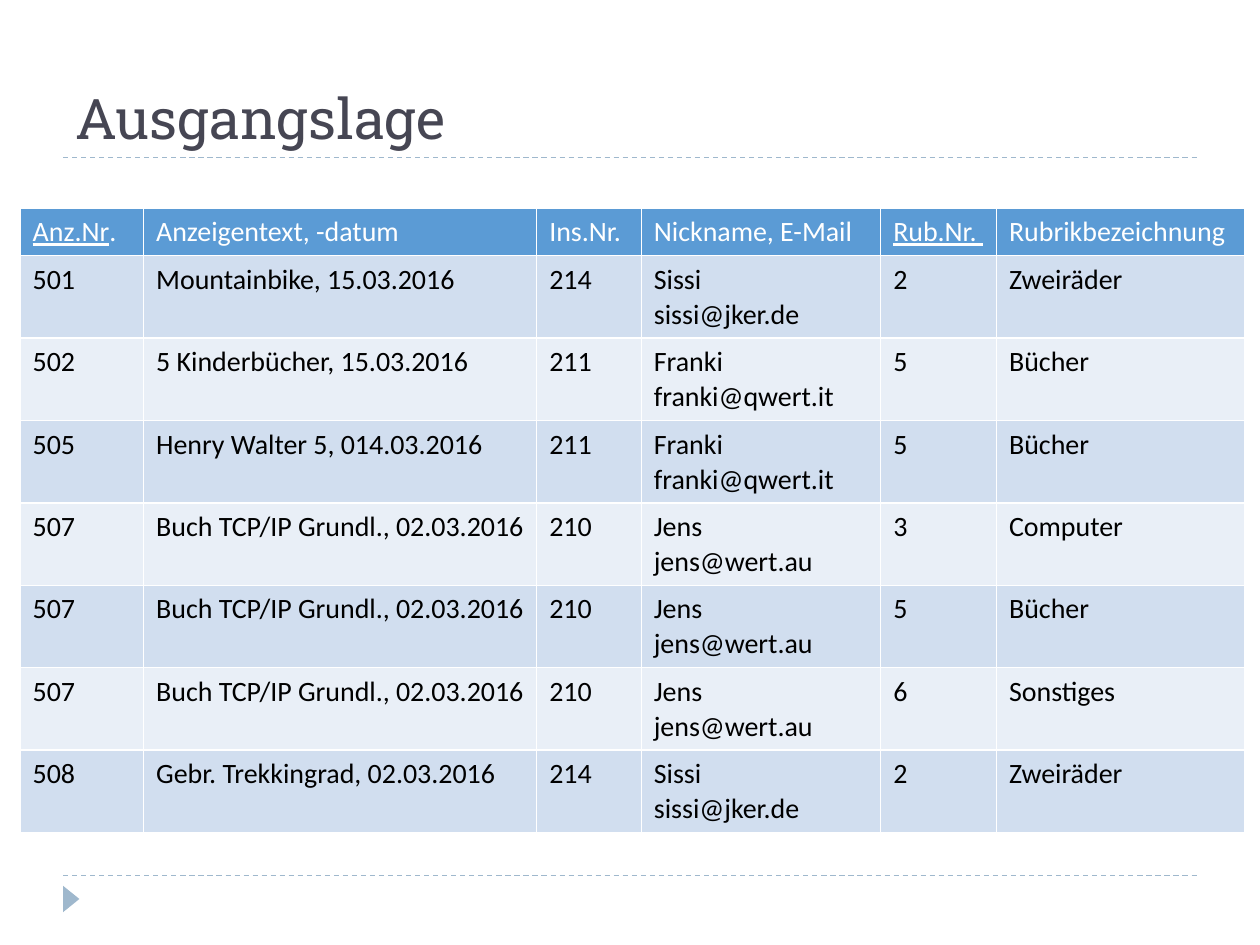
from typing import NamedTuple

from lxml import etree
from pptx import Presentation
from pptx.dml.color import RGBColor
from pptx.enum.dml import MSO_LINE
from pptx.enum.shapes import MSO_CONNECTOR, MSO_SHAPE
from pptx.enum.text import MSO_ANCHOR, MSO_AUTO_SIZE, PP_ALIGN
from pptx.oxml.ns import qn
from pptx.util import Inches, Pt

STRAIGHT = MSO_CONNECTOR.STRAIGHT
TRIANGLE = MSO_SHAPE.ISOSCELES_TRIANGLE
DASH = MSO_LINE.DASH
BOTTOM = MSO_ANCHOR.BOTTOM
NO_FIT = MSO_AUTO_SIZE.NONE
LEFT = PP_ALIGN.LEFT

COLORS = {
    "title": "464653",
    "accent": "9FB8CD",
    "header": "5B9BD5",
    "odd": "D1DEEF",
    "even": "E9EFF7",
    "white": "FFFFFF",
    "black": "000000",
}
TITLE_FONT = {"name": "Roboto Slab", "size": Pt(32)}
TABLE_FONT = {"name": "Calibri", "size": Pt(16)}

COLUMN_WIDTHS = (0.98, 3.12, 0.83, 1.9, 0.92, 1.97)
HEADER_HEIGHT, ROW_HEIGHT = 0.38, 0.65
BORDER_SIDES = ("lnL", "lnR", "lnT", "lnB")


class Heading(NamedTuple):
    """A column heading: an underlined key part, then a plain part."""
    key: str
    plain: str


class Listing(NamedTuple):
    """One row of the table of advertisements."""
    ad_no: str
    ad_text: str
    advertiser_no: str
    contact: str
    category_no: str
    category: str


HEADINGS = (
    Heading("Anz.Nr", "."),
    Heading("", "Anzeigentext, -datum"),
    Heading("", "Ins.Nr."),
    Heading("", "Nickname, E-Mail"),
    Heading("Rub.Nr. ", ""),
    Heading("", "Rubrikbezeichnung"),
)
SISSI = "Sissi\nsissi@jker.de"
FRANKI = "Franki\nfranki@qwert.it"
JENS = "Jens\njens@wert.au"
NETWORK_BOOK = "Buch TCP/IP Grundl., 02.03.2016"
LISTINGS = (
    Listing("501", "Mountainbike, 15.03.2016", "214", SISSI, "2", "Zweiräder"),
    Listing("502", "5 Kinderbücher, 15.03.2016", "211", FRANKI, "5", "Bücher"),
    Listing("505", "Henry Walter 5, 014.03.2016", "211", FRANKI, "5", "Bücher"),
    Listing("507", NETWORK_BOOK, "210", JENS, "3", "Computer"),
    Listing("507", NETWORK_BOOK, "210", JENS, "5", "Bücher"),
    Listing("507", NETWORK_BOOK, "210", JENS, "6", "Sonstiges"),
    Listing("508", "Gebr. Trekkingrad, 02.03.2016", "214", SISSI, "2", "Zweiräder"),
)


def rgb(name: str) -> RGBColor:
    """Look up a named colour."""
    return RGBColor.from_string(COLORS[name])


def add_run(p, text: str, font: dict, color: str, underline: bool = False) -> None:
    """Append a formatted run to a paragraph."""
    r = p.add_run()
    r.text = text
    for attr, value in font.items():
        setattr(r.font, attr, value)
    r.font.color.rgb = rgb(color)
    if underline:
        r.font.underline = True


def set_title(s, text: str) -> None:
    """Place and format the title placeholder."""
    sp = s.shapes.title
    box = {"left": 0.5, "top": 0.17, "width": 9, "height": 1.08}
    for attr, value in box.items():
        setattr(sp, attr, Inches(value))
    tf = sp.text_frame
    for attr, value in {"auto_size": NO_FIT, "vertical_anchor": BOTTOM}.items():
        setattr(tf, attr, value)
    p = tf.paragraphs[0]
    p.alignment = LEFT
    add_run(p, text, TITLE_FONT, "title")


def add_rule(s, y: float) -> None:
    """Draw a dashed rule across the content width."""
    rule = s.shapes.add_connector(
        STRAIGHT, Inches(0.5), Inches(y), Inches(9.5), Inches(y))
    rule.line.color.rgb = rgb("accent")
    rule.line.width = Pt(0.75)
    rule.line.dash_style = DASH
    etree.SubElement(rule._element.spPr, qn("a:effectLst"))


def add_marker(s) -> None:
    """Draw the small footer triangle pointing right."""
    sp = s.shapes.add_shape(
        TRIANGLE, Inches(0.46), Inches(7.07), Inches(0.21), Inches(0.13))
    sp.rotation = 90
    sp.shadow.inherit = False
    sp.fill.solid()
    sp.fill.fore_color.rgb = rgb("accent")
    sp.line.fill.background()


def style_cell(cell, fill: str) -> None:
    """Fill a cell and give it thin white borders."""
    cell.fill.solid()
    cell.fill.fore_color.rgb = rgb(fill)
    tc_pr = cell._tc.get_or_add_tcPr()
    for i, side in enumerate(BORDER_SIDES):
        ln = etree.Element(qn(f"a:{side}"), w=str(Pt(0.91)))
        solid = etree.SubElement(ln, qn("a:solidFill"))
        etree.SubElement(solid, qn("a:srgbClr"), val=COLORS["white"])
        tc_pr.insert(i, ln)


def write_heading(cell, heading: Heading) -> None:
    """Write a heading with its key part underlined."""
    p = cell.text_frame.paragraphs[0]
    p.line_spacing = 1.02
    if heading.key:
        add_run(p, heading.key, TABLE_FONT, "white", underline=True)
    if heading.plain:
        add_run(p, heading.plain, TABLE_FONT, "white")


def write_value(cell, value: str) -> None:
    """Write a value, one paragraph per line."""
    tf = cell.text_frame
    for i, line in enumerate(value.split("\n")):
        p = tf.add_paragraph() if i else tf.paragraphs[0]
        p.line_spacing = 1.02
        add_run(p, line, TABLE_FONT, "black")


def add_listing_table(s) -> None:
    """Build the table of advertisements."""
    height = HEADER_HEIGHT + ROW_HEIGHT * len(LISTINGS)
    table = s.shapes.add_table(
        len(LISTINGS) + 1, len(HEADINGS), Inches(0.16), Inches(1.65),
        Inches(sum(COLUMN_WIDTHS)), Inches(height)).table
    for column, width in zip(table.columns, COLUMN_WIDTHS):
        column.width = Inches(width)
    for i, row in enumerate(table.rows):
        row.height = Inches(ROW_HEIGHT if i else HEADER_HEIGHT)
    for col, heading in enumerate(HEADINGS):
        cell = table.cell(0, col)
        style_cell(cell, "header")
        write_heading(cell, heading)
    for i, listing in enumerate(LISTINGS, start=1):
        for col, value in enumerate(listing):
            cell = table.cell(i, col)
            style_cell(cell, "odd" if i % 2 else "even")
            write_value(cell, value)


def main() -> None:
    """Build and save the slide."""
    prs = Presentation()
    prs.slide_width, prs.slide_height = Inches(10), Inches(7.5)
    s = prs.slides.add_slide(prs.slide_layouts[5])
    for y in (6.95, 1.25):
        add_rule(s, y)
    add_marker(s)
    set_title(s, "Ausgangslage")
    add_listing_table(s)
    prs.save("out.pptx")


main()
